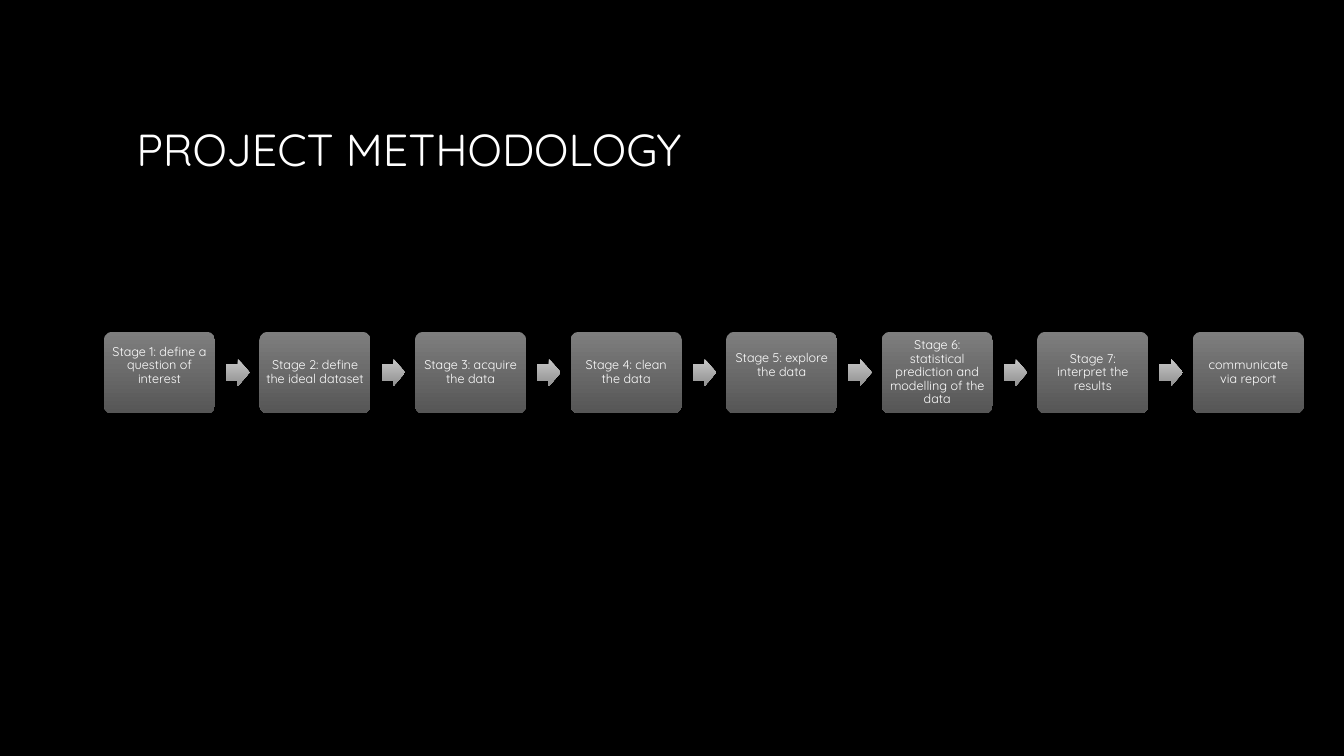
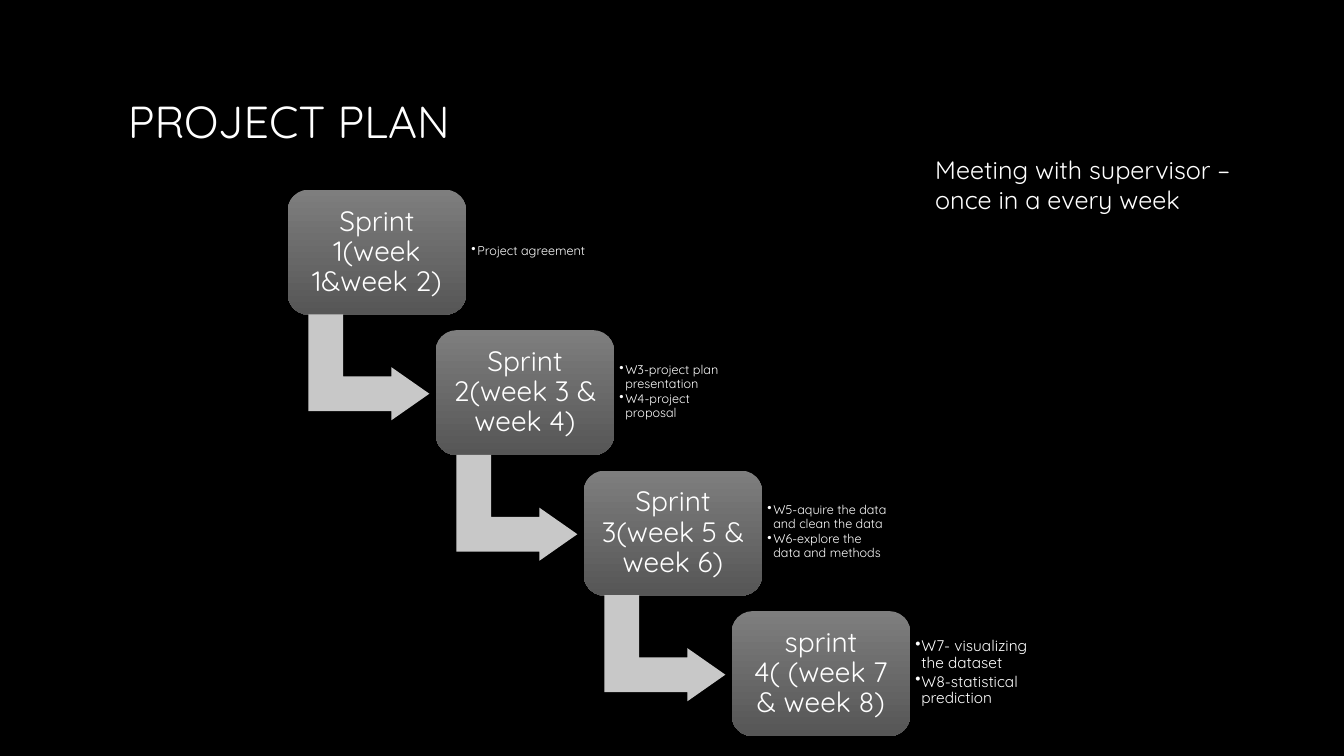
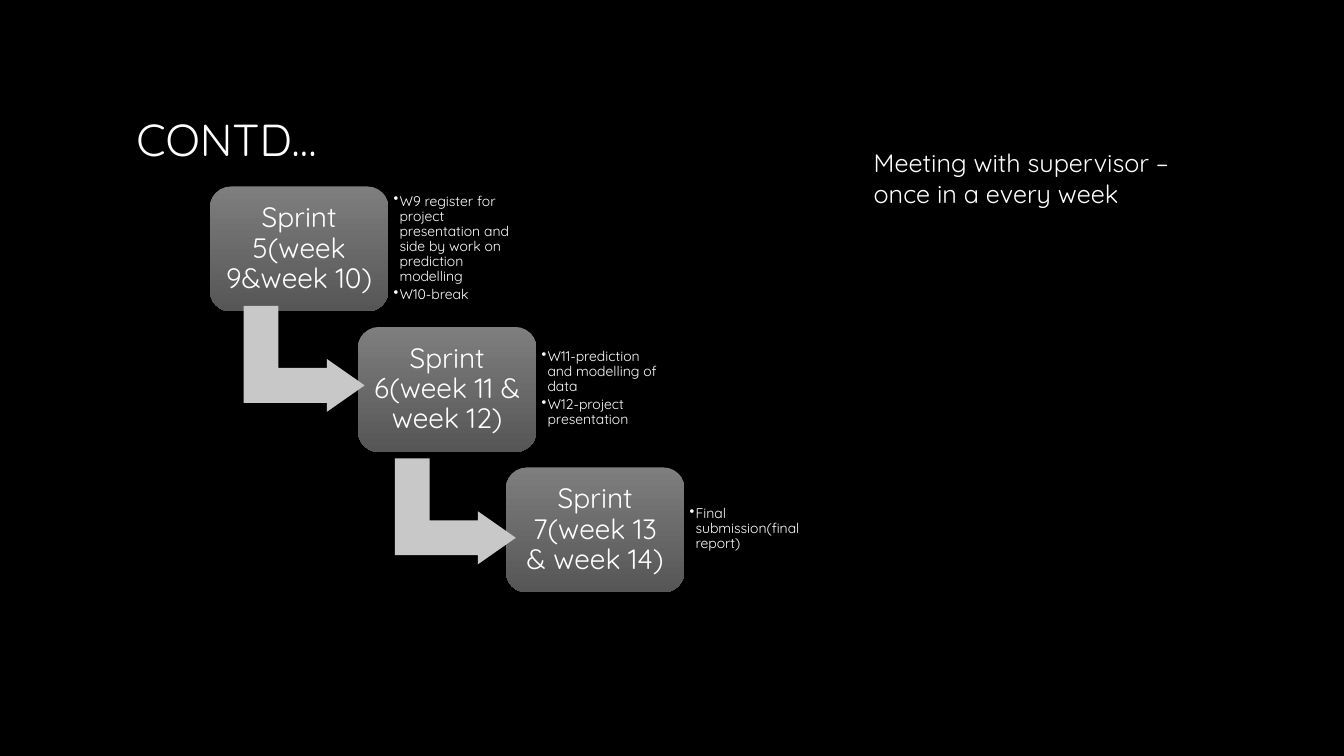
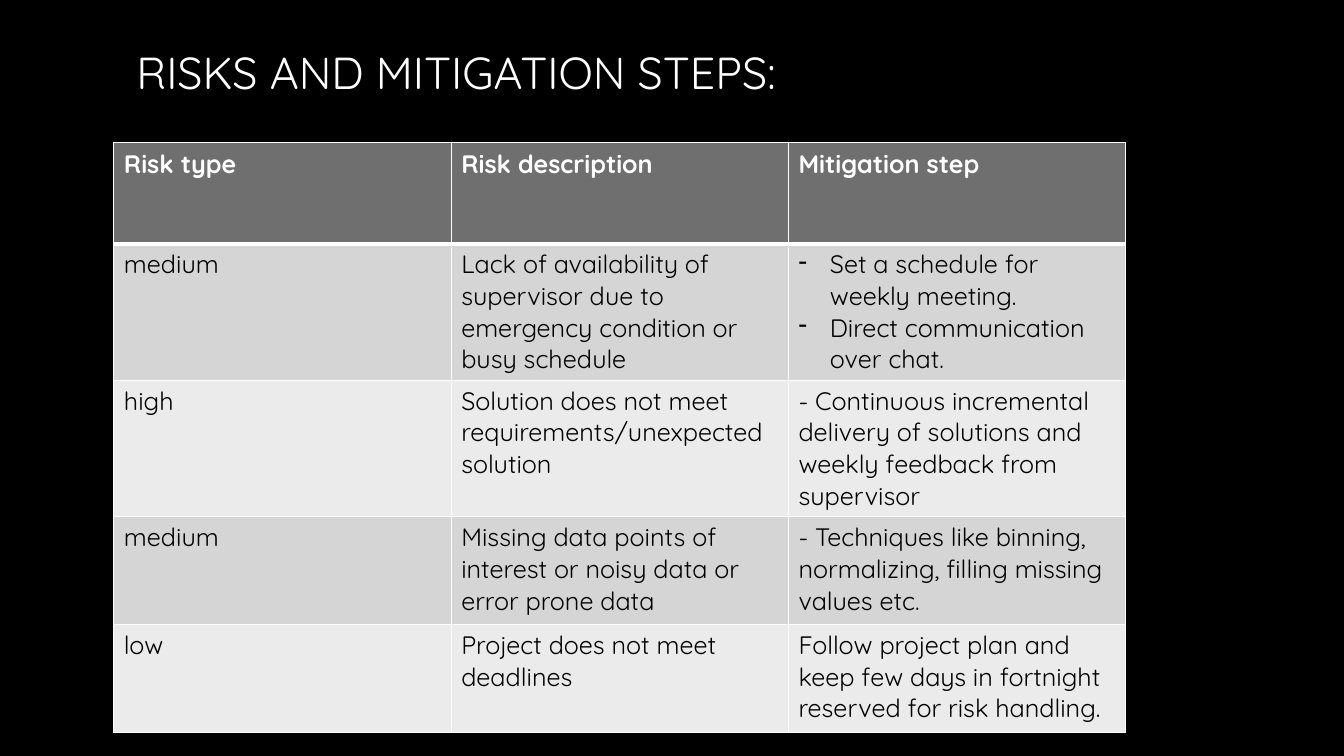
import pptx
import pptx.dml.color
import pptx.enum.shapes
import pptx.enum.text
import pptx.oxml.ns
import pptx.util
from lxml import etree

Cm = pptx.util.Cm
Pt = pptx.util.Pt
SHAPE = pptx.enum.shapes.MSO_SHAPE
ALIGN = pptx.enum.text.PP_ALIGN
ANCHOR = pptx.enum.text.MSO_ANCHOR
qn = pptx.oxml.ns.qn

BLACK, WHITE = "000000", "FFFFFF"
BOX_GREYS = ("7E7E7E", "565656")
ARROW_GREYS = ("C6C6C6", "919191")
BENT_GREY = "C8C8C8"
HEADER_GREY = "6F6F6F"
ROW_GREYS = ("D5D5D5", "EBEBEB")

MEETING = "Meeting with supervisor –once in a every week"


def rgb(colour):
    return pptx.dml.color.RGBColor.from_string(colour)


class Presenter:
    """Holds the shared style and the slide being filled."""

    font = "Quicksand"

    def __init__(self):
        self.deck = pptx.Presentation()
        self.deck.slide_width, self.deck.slide_height = Cm(33.87), Cm(19.05)
        background = self.deck.slide_master.background.fill
        background.solid()
        background.fore_color.rgb = rgb(BLACK)
        self.slide = None

    def start(self, title, left, top, height):
        layout = self.deck.slide_layouts.get_by_name("Title Only")
        self.slide = self.deck.slides.add_slide(layout)
        box = self.slide.shapes.title
        box.left, box.top = Cm(left), Cm(top)
        box.width, box.height = Cm(27.5), Cm(height)
        frame = box.text_frame
        frame.auto_size = pptx.enum.text.MSO_AUTO_SIZE.NONE
        frame.vertical_anchor = ANCHOR.MIDDLE
        self.fill_text(frame, [title], 32)

    def fill_text(self, frame, lines, size, colour=WHITE, bold=False,
                  align=ALIGN.LEFT, spacing=None, bullet=None, indent=0):
        frame.text = "\n".join(lines)
        for para in frame.paragraphs:
            para.alignment = align
            if spacing:
                para.line_spacing = spacing
                para.space_after = Pt(round(size * 0.15, 1))
            if bullet:
                self.add_bullet(para, bullet, indent)
            for span in para.runs:
                span.font.name = self.font
                span.font.size = Pt(size)
                span.font.bold = bold
                span.font.color.rgb = rgb(colour)

    def add_bullet(self, para, character, indent):
        properties = para._p.get_or_add_pPr()
        properties.set("marL", str(Cm(indent)))
        properties.set("indent", str(-Cm(indent)))
        etree.SubElement(properties, qn("a:buChar")).set("char", character)

    def set_margins(self, frame, margin):
        frame.margin_left = frame.margin_right = Cm(margin)
        frame.margin_top = frame.margin_bottom = Cm(margin)

    def shape(self, kind, left, top, width, height, greys, adjustments):
        shape = self.slide.shapes.add_shape(
            kind, Cm(left), Cm(top), Cm(width), Cm(height))
        shape.shadow.inherit = False
        shape.line.fill.background()
        for number, value in enumerate(adjustments):
            shape.adjustments[number] = value
        if isinstance(greys, str):
            shape.fill.solid()
            shape.fill.fore_color.rgb = rgb(greys)
        else:
            shape.fill.gradient()
            shape.fill.gradient_angle = 270
            for stop, grey in zip(shape.fill.gradient_stops, greys):
                stop.color.rgb = rgb(grey)
        return shape

    def box(self, text, left, top, width, height, size, corner, margin):
        shape = self.shape(SHAPE.ROUNDED_RECTANGLE, left, top, width, height,
                           BOX_GREYS, [corner])
        frame = shape.text_frame
        frame.word_wrap = True
        frame.vertical_anchor = ANCHOR.MIDDLE
        self.set_margins(frame, margin)
        self.fill_text(frame, [text], size, align=ALIGN.CENTER, spacing=0.9)
        return shape

    def text(self, lines, left, top, width, height, size, **style):
        shape = self.slide.shapes.add_textbox(
            Cm(left), Cm(top), Cm(width), Cm(height))
        shape.text_frame.word_wrap = True
        self.fill_text(shape.text_frame, lines, size, **style)
        return shape.text_frame

    def chain(self, stages, left, top):
        """Row of boxes with an arrow between neighbours."""
        width, height, pitch = 2.8, 2.06, 3.92
        for number, (stage, lift) in enumerate(stages):
            x = left + number * pitch
            box = self.box(stage, x, top, width, height, 9, 0.1, 0.1)
            box.text_frame.margin_bottom = Cm(0.1 + lift)
            if number < len(stages) - 1:
                self.shape(SHAPE.RIGHT_ARROW, x + 3.08, top + 0.68, 0.59, 0.69,
                           ARROW_GREYS, [0.6, 0.5])

    def stairs(self, sprints, left, top, arrows):
        """Descending boxes with notes; arrows are offsets from each box."""
        places = [(left + 3.73 * step, top + 3.54 * step)
                  for step in range(len(sprints))]
        for (x, y), (sprint, size, notes) in zip(places, sprints):
            self.box(sprint, x, y, 4.5, 3.15, 20, 0.167, 0.2)
            frame = self.text(notes, x + 4.5, y + 0.28, 3.28, 2.54, size,
                              spacing=0.9, bullet="•", indent=0.15)
            frame.vertical_anchor = ANCHOR.MIDDLE
            self.set_margins(frame, 0.13)
        for (x, y), (right, down) in zip(places, arrows):
            arrow = self.shape(SHAPE.BENT_UP_ARROW, x + right, y + down,
                               2.67, 3.05, BENT_GREY, [0.328, 0.25, 0.358])
            arrow.rotation = 90

    def table(self, rows, left, top, column_width, heights):
        columns = len(rows[0])
        table = self.slide.shapes.add_table(
            len(rows), columns, Cm(left), Cm(top),
            Cm(column_width * columns), Cm(sum(heights))).table
        for column in table.columns:
            column.width = Cm(column_width)
        for number, (row, height) in enumerate(zip(rows, heights)):
            table.rows[number].height = Cm(height)
            header = number == 0
            fill = HEADER_GREY if header else ROW_GREYS[(number - 1) % 2]
            for cell, content in zip(table.rows[number].cells, row):
                listed = isinstance(content, list)
                self.fill_text(cell.text_frame,
                               content if listed else [content],
                               18, WHITE if header else BLACK, header,
                               bullet="-" if listed else None, indent=0.79)
                cell.fill.solid()
                cell.fill.fore_color.rgb = rgb(fill)
                self.add_borders(cell, top=3 if number == 1 else 1,
                                 bottom=3 if header else 1)

    def add_borders(self, cell, top, bottom):
        properties = cell._tc.get_or_add_tcPr()
        widths = {"a:lnL": 1, "a:lnR": 1, "a:lnT": top, "a:lnB": bottom}
        for position, (tag, width) in enumerate(widths.items()):
            line = etree.Element(qn(tag))
            line.set("w", str(Pt(width)))
            paint = etree.SubElement(line, qn("a:solidFill"))
            etree.SubElement(paint, qn("a:srgbClr")).set("val", WHITE)
            properties.insert(position, line)


def main():
    show = Presenter()

    # Methodology: each stage with the lift of its text in centimetres
    show.start("PROJECT METHODOLOGY", 3.18, 1.7, 4.11)
    show.chain([
        ("Stage 1: define a question of interest", 0.35),
        ("Stage 2: define the ideal dataset", 0),
        ("Stage 3: acquire the data", 0),
        ("Stage 4: clean the data", 0),
        ("Stage 5: explore the data", 0.35),
        ("Stage 6: statistical prediction and modelling of the data", 0),
        ("Stage 7: interpret the results", 0),
        ("communicate via report", 0),
    ], 2.62, 8.36)

    # Plan, first four sprints
    show.start("PROJECT PLAN", 2.97, 0.41, 5.28)
    show.stairs([
        ("Sprint 1(week 1&week 2)", 9, ["Project agreement"]),
        ("Sprint 2(week 3 & week 4)", 9,
         ["W3-project plan presentation", "W4-project proposal"]),
        ("Sprint 3(week 5 & week 6)", 9,
         ["W5-aquire the data and clean the data",
          "W6-explore the data and methods"]),
        ("sprint 4( (week 7 & week 8)", 11,
         ["W7- visualizing the dataset", "W8-statistical prediction"]),
    ], 7.25, 4.78, [(0.71, 2.95)] * 3)
    show.text([MEETING], 23.32, 3.76, 8.3, 2.57, 18)

    # Plan, last three sprints
    show.start("CONTD…", 3.18, 1.7, 3.56)
    show.stairs([
        ("Sprint 5(week 9&week 10)", 10,
         ["W9 register for project presentation and side by work on "
          "prediction modelling", "W10-break"]),
        ("Sprint 6(week 11 & week 12)", 10,
         ["W11-prediction and modelling of data",
          "W12-project presentation"]),
        ("Sprint 7(week 13 & week 14)", 10,
         ["Final submission(final report)"]),
    ], 5.29, 4.7, [(1.04, 2.82), (1.12, 3.12)])
    show.text([MEETING], 21.77, 3.6, 8.28, 1.8, 18)

    # Risks
    show.start("RISKS AND MITIGATION STEPS:", 3.18, 0, 3.61)
    show.table([
        ("Risk type", "Risk description", "Mitigation step"),
        ("medium",
         "Lack of availability of supervisor due to emergency condition or "
         "busy schedule",
         ["Set a schedule for weekly meeting.",
          "Direct communication over chat."]),
        ("high",
         "Solution does not meet requirements/unexpected solution",
         "- Continuous incremental delivery of solutions and weekly feedback "
         "from supervisor"),
        ("medium",
         "Missing data points of interest or noisy data or error prone data",
         "- Techniques like binning, normalizing, filling missing values etc."),
        ("low", "Project does not meet deadlines",
         "Follow project plan and keep few days in fortnight reserved for "
         "risk handling."),
    ], 2.87, 3.6, 8.5, [2.54, 3.33, 3, 2.72, 2.72])

    show.deck.save("out.pptx")


if __name__ == "__main__":
    main()
